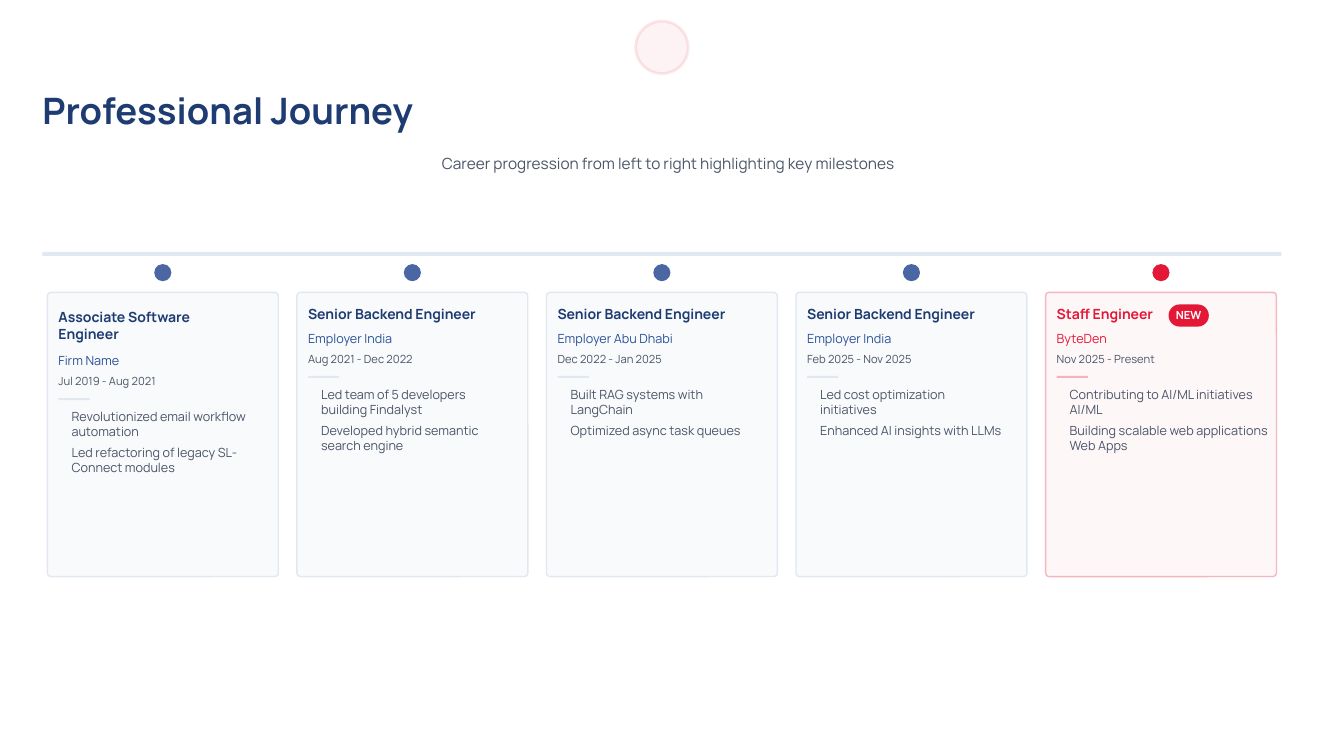
from dataclasses import dataclass

from lxml import etree
from pptx import Presentation
from pptx.dml.color import RGBColor
from pptx.enum.shapes import MSO_SHAPE
from pptx.enum.text import MSO_ANCHOR, PP_ALIGN
from pptx.oxml.ns import qn
from pptx.util import Inches, Pt

RECT, ROUND, OVAL = MSO_SHAPE.RECTANGLE, MSO_SHAPE.ROUNDED_RECTANGLE, MSO_SHAPE.OVAL
LEFT, CENTER, MIDDLE = PP_ALIGN.LEFT, PP_ALIGN.CENTER, MSO_ANCHOR.MIDDLE

FONT = "Manrope"
NAVY, BLUE, DOT_BLUE = "1E3C72", "2A5298", "4A67A3"
RED, GREY, RULE, PALE, WHITE = "E31837", "4A5568", "E2E8F0", "F8FAFC", "FFFFFF"

PAGE_WIDTH, PAGE_HEIGHT = 13.33, 7.5
TRACK_LEFT, TRACK_TOP, TRACK_WIDTH = 0.42, 2.5, 12.29
CARD_TOP, CARD_WIDTH, CARD_HEIGHT, CARD_INSET = 2.9, 2.29, 2.82, 0.05
DOT_TOP, DOT_SIZE = 2.62, 0.17
PADDING, TASK_INDENT, TASK_PITCH = 0.11, 0.24, 0.36
ONE_LINE, TWO_LINES = 0.18, 0.33
LINE_CHARACTERS = 30


@dataclass
class Job:
    """One milestone; every text comes with the width it wraps in."""
    title: tuple
    employer: tuple
    dates: tuple
    tasks: list
    title_lines: int = 1
    is_new: bool = False


JOBS = [
    Job(("Associate Software Engineer", 1.58), ("Firm Name", 0.88), ("Jul 2019 - Aug 2021", 1.17),
        [("Revolutionized email workflow automation", 1.97),
         ("Led refactoring of legacy SL-Connect modules", 1.88)], title_lines=2),
    Job(("Senior Backend Engineer", 2.01), ("Employer India", 1.02), ("Aug 2021 - Dec 2022", 1.25),
        [("Led team of 5 developers building Findalyst", 1.68),
         ("Developed hybrid semantic search engine", 1.82)]),
    Job(("Senior Backend Engineer", 2.01), ("Employer Abu Dhabi", 1.38), ("Dec 2022 - Jan 2025", 1.28),
        [("Built RAG systems with LangChain", 1.5), ("Optimized async task queues", 1.94)]),
    Job(("Senior Backend Engineer", 2.01), ("Employer India", 1.02), ("Feb 2025 - Nov 2025", 1.28),
        [("Led cost optimization initiatives", 1.43), ("Enhanced AI insights with LLMs", 2)]),
    Job(("Staff Engineer", 1.18), ("ByteDen", 0.64), ("Nov 2025 - Present", 1.18),
        [("Contributing to AI/ML initiatives AI/ML", 2.03),
         ("Building scalable web applications Web Apps", 2.03)], is_new=True),
]


def paint(fill, color, opacity=100):
    """Give a fill a solid hex colour, with opacity in percent."""
    fill.solid()
    fill.fore_color.rgb = RGBColor.from_string(color)
    if opacity < 100:
        tone = fill._xPr.find(qn("a:solidFill"))[0]
        etree.SubElement(tone, qn("a:alpha")).set("val", str(opacity * 1000))


def write(box, text, size, color, bold=False, align=LEFT):
    frame = box.text_frame
    frame.word_wrap = True
    frame.vertical_anchor = MIDDLE
    frame.margin_left = frame.margin_right = frame.margin_top = frame.margin_bottom = 0
    para = frame.paragraphs[0]
    para.alignment = align
    span = para.add_run()
    span.text = text
    span.font.name, span.font.size, span.font.bold = FONT, Pt(size), bold
    paint(span.font.fill, color)


def add_text(page, left, top, width, height, text, **style):
    box = page.shapes.add_textbox(Inches(left), Inches(top), Inches(width), Inches(height))
    write(box, text, **style)


def add_figure(page, kind, left, top, width, height, color, opacity=100,
               line=None, line_width=1, line_opacity=100, corner=None):
    figure = page.shapes.add_shape(kind, Inches(left), Inches(top), Inches(width), Inches(height))
    figure.shadow.inherit = False
    paint(figure.fill, color, opacity)
    if line:
        paint(figure.line.fill, line, line_opacity)
        figure.line.width = Pt(line_width)
    else:
        figure.line.fill.background()
    if corner is not None:
        figure.adjustments[0] = corner
    return figure


def add_heading(page):
    ring = 0.52
    add_figure(page, OVAL, TRACK_LEFT + (TRACK_WIDTH - ring) / 2, 0.21, ring, ring, RED,
               opacity=5, line=RED, line_width=2, line_opacity=10)
    add_text(page, TRACK_LEFT, 0.84, 4.18, 0.51, "Professional Journey",
             size=26, color=NAVY, bold=True)
    add_text(page, 4.05, 1.51, 5.16, 0.22,
             "Career progression from left to right highlighting key milestones",
             size=11, color=GREY, align=CENTER)


def add_card(page, job, left, top):
    new = job.is_new
    edge, edge_opacity = (RED, 30) if new else (RULE, 100)
    add_figure(page, ROUND, left, top, CARD_WIDTH, CARD_HEIGHT, RED if new else PALE,
               opacity=3 if new else 100, line=edge, line_opacity=edge_opacity, corner=0.016)

    text_left = left + PADDING
    extra = 0.22 * (job.title_lines - 1)
    rows = [
        (job.title, 0.11, 0.21 + extra, dict(size=10, color=RED if new else NAVY, bold=True)),
        (job.employer, 0.37 + extra, 0.18, dict(size=9, color=RED if new else BLUE)),
        (job.dates, 0.58 + extra, 0.17, dict(size=8, color=GREY)),
    ]
    for (text, width), offset, height, style in rows:
        add_text(page, text_left, top + offset, width, height, text, **style)
    add_figure(page, RECT, text_left, top + 0.83 + extra, 0.31, 0.02, edge, opacity=edge_opacity)

    for index, (text, width) in enumerate(job.tasks):
        height = TWO_LINES if len(text) > LINE_CHARACTERS else ONE_LINE
        add_text(page, left + TASK_INDENT, top + 0.92 + extra + index * TASK_PITCH,
                 width, height, text, size=9, color=GREY)
    if new:
        badge = add_figure(page, ROUND, left + 1.22, top + 0.12, 0.4, 0.22, RED, corner=0.5)
        write(badge, "NEW", size=8, color=WHITE, bold=True, align=CENTER)


def add_timeline(page):
    add_figure(page, RECT, TRACK_LEFT, TRACK_TOP, TRACK_WIDTH, 0.04, RULE)
    pitch = (TRACK_WIDTH - CARD_WIDTH - 2 * CARD_INSET) / (len(JOBS) - 1)
    for index, job in enumerate(JOBS):
        left = TRACK_LEFT + CARD_INSET + index * pitch
        add_card(page, job, left, CARD_TOP)
        add_figure(page, OVAL, left + (CARD_WIDTH - DOT_SIZE) / 2, DOT_TOP, DOT_SIZE, DOT_SIZE,
                   RED if job.is_new else DOT_BLUE)


def main():
    deck = Presentation()
    deck.slide_width, deck.slide_height = Inches(PAGE_WIDTH), Inches(PAGE_HEIGHT)
    page = deck.slides.add_slide(deck.slide_layouts[6])
    paint(page.background.fill, WHITE)
    add_heading(page)
    add_timeline(page)
    deck.save("out.pptx")


if __name__ == "__main__":
    main()
